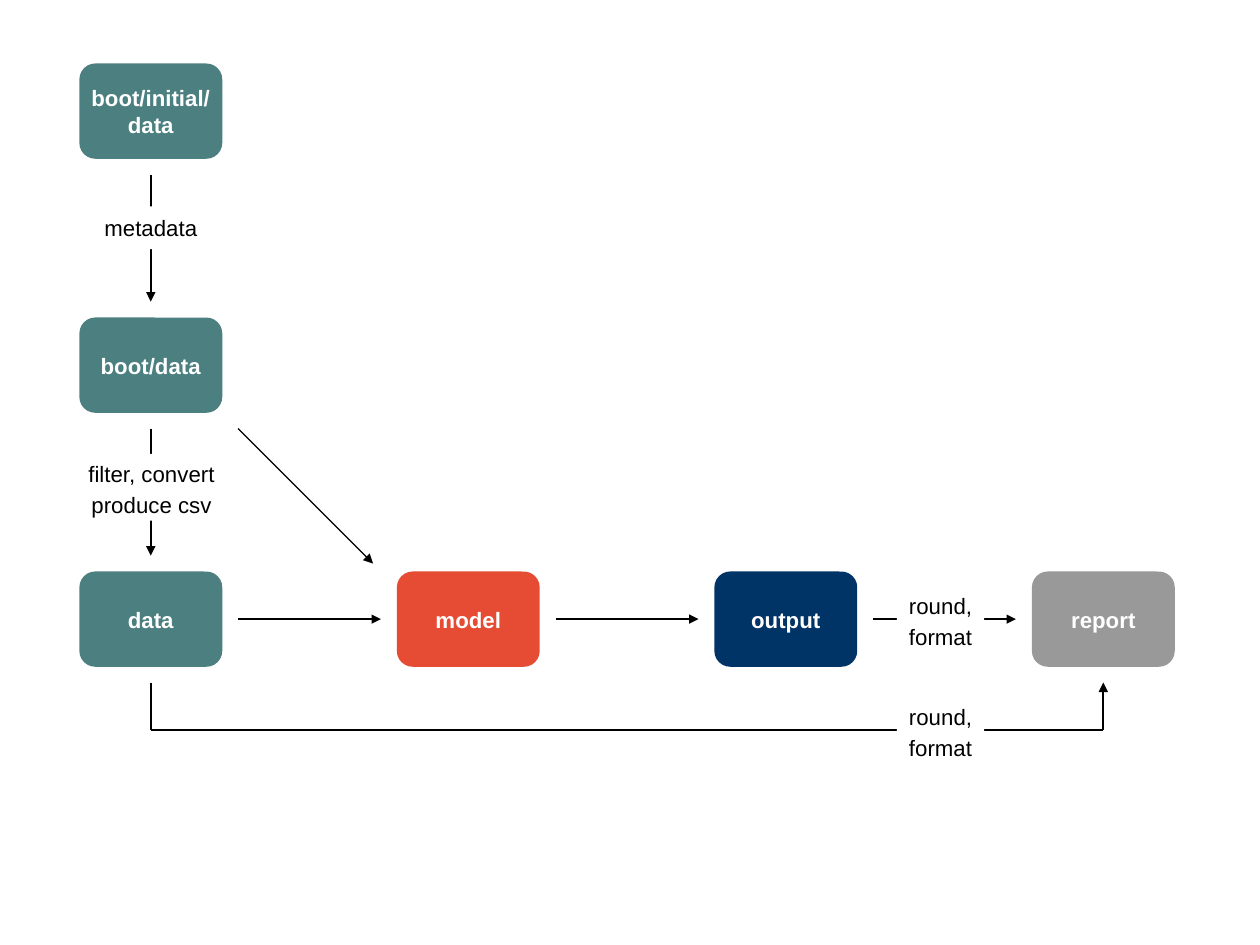
from lxml import etree
from pptx import Presentation
from pptx import util as u
from pptx.dml.color import RGBColor
from pptx.enum import shapes, text
from pptx.oxml.ns import qn

PX = u.Pt(1)  # 72 px to the inch
FONT, SIZE = "Arial", 14
BLACK, WHITE = "000000", "FFFFFF"
TEAL, RED, NAVY, GREY = "4C8080", "E64C33", "003366", "999999"

# column, row, lines of text, fill
STEPS = [
    (0, 0, ["boot/initial/", "data"], TEAL),
    (0, 1, ["boot/data"], TEAL),
    (0, 2, ["data"], TEAL),
    (1, 2, ["model"], RED),
    (2, 2, ["output"], NAVY),
    (3, 2, ["report"], GREY),
]
# left, top, width, height, lines of text, line spacing
LABELS = [
    (61, 130, 68, 27, ["metadata"], None),
    (50, 286, 91, 42, ["filter, convert", "produce csv"], 1.15),
    (565, 372, 55, 36, ["round,", "format"], 1.15),
    (565, 442, 55, 36, ["round,", "format"], 1.15),
]
LEFT, TOP, BOX_W, BOX_H = 50, 40, 90, 60
COL_STEP, ROW_STEP, GAP = 200, 160, 10
THIN, MEDIUM, THICK = 0.79, 1, 1.19


def box_left(col):
    return LEFT + col * COL_STEP


def box_top(row):
    return TOP + row * ROW_STEP


def rgb(value):
    return RGBColor.from_string(value)


def write(sp, lines, color=BLACK, bold=False, spacing=None):
    tf = sp.text_frame
    tf.word_wrap = False
    tf.vertical_anchor = text.MSO_ANCHOR.MIDDLE
    for i, line in enumerate(lines):
        p = tf.add_paragraph() if i else tf.paragraphs[0]
        p.alignment = text.PP_ALIGN.CENTER
        if spacing:
            p.line_spacing = spacing
        r = p.add_run()
        r.text = line
        r.font.name, r.font.size, r.font.bold = FONT, u.Pt(SIZE), bold
        r.font.color.rgb = rgb(color)


def add_box(s, kind, left, top, width, height, fill):
    sp = s.shapes.add_shape(kind, left * PX, top * PX, width * PX, height * PX)
    sp.shadow.inherit = False
    sp.fill.solid()
    sp.fill.fore_color.rgb = rgb(fill)
    sp.line.fill.background()
    return sp


def add_line(s, x1, y1, x2, y2, width, arrow=True):
    line = s.shapes.add_connector(
        shapes.MSO_CONNECTOR.STRAIGHT, x1 * PX, y1 * PX, x2 * PX, y2 * PX)
    line.line.width = u.Pt(width)
    line.line.color.rgb = rgb(BLACK)
    props = line._element.spPr
    if arrow:
        etree.SubElement(props.get_or_add_ln(), qn("a:tailEnd"), type="triangle")
    etree.SubElement(props, qn("a:effectLst"))


def main():
    prs = Presentation()
    prs.slide_width, prs.slide_height = u.Cm(28), u.Cm(21)
    s = prs.slides.add_slide(prs.slide_layouts[6])

    first_x = box_left(0) + BOX_W // 2
    last_x = box_left(3) + BOX_W // 2
    for row in range(2):
        add_line(s, first_x, box_top(row) + BOX_H + GAP,
                 first_x, box_top(row + 1) - GAP, THICK)

    # boot/data to model
    x, y = box_left(0) + BOX_W + GAP, box_top(1) + BOX_H + GAP
    add_line(s, x, y, x + 85, y + 85, THIN)

    mid_y = box_top(2) + BOX_H // 2
    for col, width in enumerate([THICK, MEDIUM, MEDIUM]):
        add_line(s, box_left(col) + BOX_W + GAP, mid_y,
                 box_left(col + 1) - GAP, mid_y, width)

    # data to report, below the bottom row
    start_y = box_top(2) + BOX_H + GAP
    low_y = start_y + 30
    add_line(s, first_x, start_y, first_x, low_y, THICK, arrow=False)
    add_line(s, first_x, low_y, last_x, low_y, MEDIUM, arrow=False)
    add_line(s, last_x, low_y, last_x, start_y, THICK)

    for left, top, width, height, lines, spacing in LABELS:
        sp = add_box(s, shapes.MSO_SHAPE.RECTANGLE, left, top, width, height, WHITE)
        write(sp, lines, spacing=spacing)

    for col, row, lines, fill in STEPS:
        sp = add_box(s, shapes.MSO_SHAPE.ROUNDED_RECTANGLE,
                     box_left(col), box_top(row), BOX_W, BOX_H, fill)
        write(sp, lines, color=WHITE, bold=True)

    prs.save("out.pptx")


if __name__ == "__main__":
    main()
